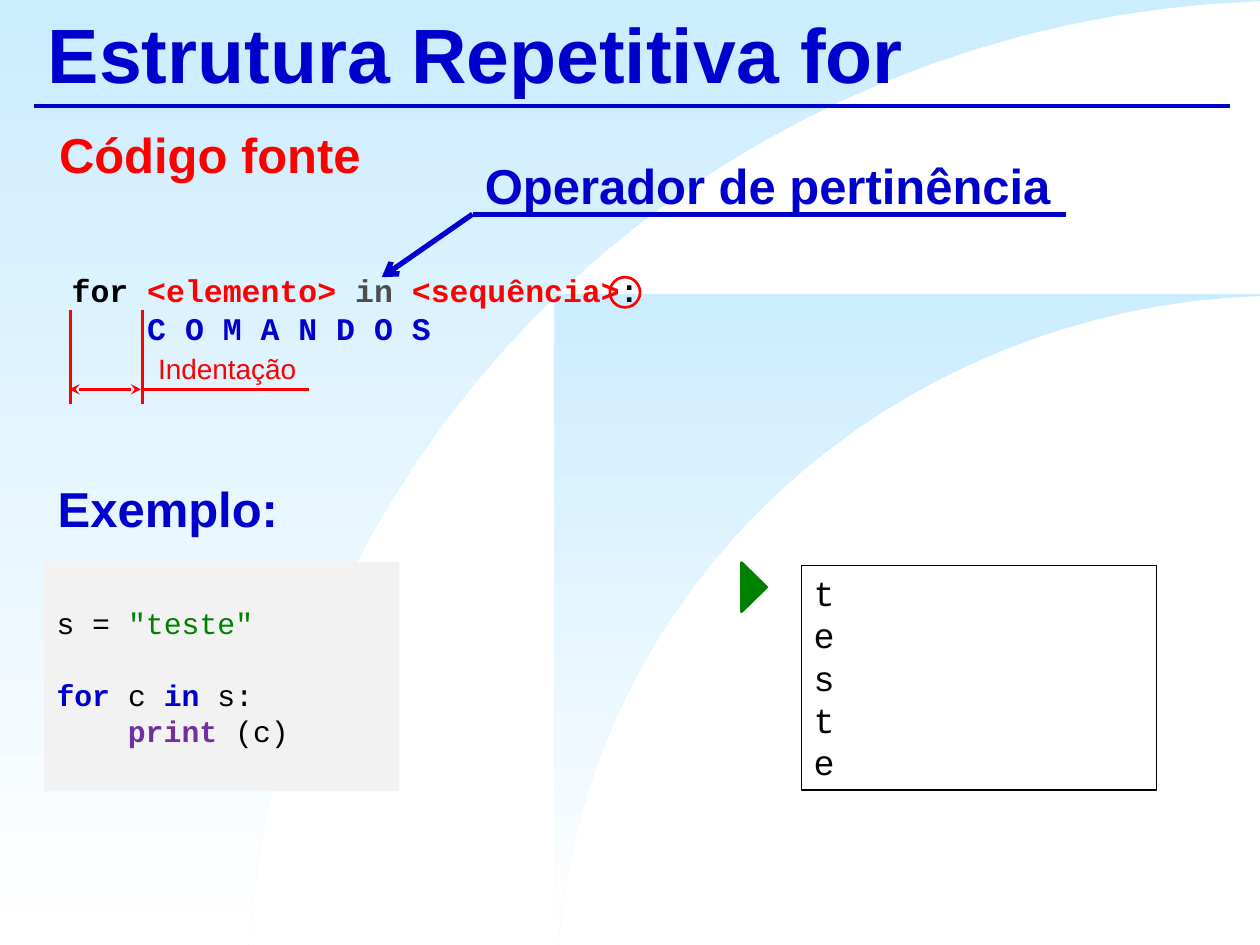
"""Builds the slide on the for loop: syntax, indentation and a worked example."""
import math

from lxml import etree
from pptx import Presentation
from pptx.dml.color import RGBColor
from pptx.enum.shapes import MSO_CONNECTOR, MSO_SHAPE
from pptx.enum.text import MSO_ANCHOR, PP_ALIGN
from pptx.oxml.ns import qn
from pptx.util import Inches, Pt

STRAIGHT = MSO_CONNECTOR.STRAIGHT
RECTANGLE, OVAL, TRIANGLE = MSO_SHAPE.RECTANGLE, MSO_SHAPE.OVAL, MSO_SHAPE.ISOSCELES_TRIANGLE
TOP, MIDDLE = MSO_ANCHOR.TOP, MSO_ANCHOR.MIDDLE
LEFT, RIGHT = PP_ALIGN.LEFT, PP_ALIGN.RIGHT

COLORS = {
    "blue": "0000CC", "red": "FF0000", "green": "008000", "purple": "7030A0",
    "gray": "4D4D4D", "black": "000000", "white": "FFFFFF",
    "code": "F2F2F2", "sky": "CCECFF",
}
SANS, MONO = "Arial", "Courier New"
WIDTH, HEIGHT = 10, 7.5

TITLE = "Estrutura Repetitiva for"
HEADINGS = [
    ("Código fonte", "red", (0.37, 0.99, 3.68, 0.47)),
    ("Exemplo:", "blue", (0.36, 3.8, 3.68, 0.47)),
    ("Operador de pertinência", "blue", (3.75, 1.23, 4.71, 0.47)),
]
SYNTAX = [
    (0, 0, [("for ", "black", True), ("<elemento> ", "red", True), ("in", "gray", True),
            (" <sequência>", "red", True), (":", "black", True)]),
    (4, 0, [("C O M A N D O S", "blue", True)]),
]
EXAMPLE = [
    (0, 0, [("s = ", "black", False), ('"teste"', "green", False)]),
    (0, 1, [("for ", "blue", True), ("c ", "black", False), ("in", "blue", True),
            (" s:", "black", False)]),
    (4, 0, [("print ", "purple", True), ("(c)", "black", False)]),
]
OUTPUT = [(0, 0, [(letter, "black", False)]) for letter in "teste"]

SWEEPS = [((0, 0), (1.97, 0.01)), ((4.4, 2.33), (4.43, 2.35))]
SWEEP_STEPS, SWEEP_START, SWEEP_END = 32, math.radians(4), math.radians(88)

LINES = [
    ((0.27, 0.84), (9.76, 0.84), "blue", 2.25, {}),
    ((0.56, 2.46), (0.56, 3.21), "red", 1.5, {}),
    ((1.13, 2.46), (1.13, 3.21), "red", 1.5, {}),
    ((0.55, 3.09), (1.12, 3.09), "red", 1.5, {"headEnd": "stealth", "tailEnd": "stealth"}),
    ((1.13, 3.09), (2.45, 3.09), "red", 1.5, {}),
    ((3.75, 1.7), (3.03, 2.2), "blue", 3, {"tailEnd": "arrow"}),
    ((3.75, 1.7), (8.46, 1.7), "blue", 3, {}),
]


def rgb(name):
    return RGBColor.from_string(COLORS[name])


def style_font(font, face, size, color=None, bold=None):
    font.name, font.size, font.bold = face, Pt(size), bold
    if color:
        font.color.rgb = rgb(color)


def add_sweep(slide, corner, arc_start):
    (left, top), (arc_left, arc_top) = corner, arc_start
    x_scale = (WIDTH - arc_left) / (math.cos(SWEEP_START) - math.cos(SWEEP_END))
    y_scale = (HEIGHT - arc_top) / (math.sin(SWEEP_END) - math.sin(SWEEP_START))
    arc = []
    for step in range(SWEEP_STEPS + 1):
        angle = SWEEP_START + (SWEEP_END - SWEEP_START) * step / SWEEP_STEPS
        arc.append((arc_left + x_scale * (math.cos(SWEEP_START) - math.cos(angle)),
                    HEIGHT - y_scale * (math.sin(angle) - math.sin(SWEEP_START))))
    outline = arc + [(WIDTH, top), (left, top), (left, HEIGHT)]
    points = [(Inches(x), Inches(y)) for x, y in outline]
    builder = slide.shapes.build_freeform(*points[0], scale=1.0)
    builder.add_line_segments(points[1:], close=True)
    sweep = builder.convert_to_shape()
    sweep.shadow.inherit = False
    sweep.line.fill.background()
    sweep.fill.gradient()
    sweep.fill.gradient_angle = 270
    for stop, color, position in zip(sweep.fill.gradient_stops, ("sky", "white"), (0, 1)):
        stop.color.rgb = rgb(color)
        stop.position = position


def add_line(slide, start, end, color, width, arrowheads):
    line = slide.shapes.add_connector(STRAIGHT, *map(Inches, start + end))
    line.line.color.rgb = rgb(color)
    line.line.width = Pt(width)
    outline = line.line._get_or_add_ln()
    for end_name, style in arrowheads.items():
        etree.SubElement(outline, qn("a:" + end_name), type=style)
    etree.SubElement(line._element.spPr, qn("a:effectLst"))


def add_figure(slide, preset, box, fill=None, outline=None, width=1.5):
    figure = slide.shapes.add_shape(preset, *map(Inches, box))
    figure.shadow.inherit = False
    if fill:
        figure.fill.solid()
        figure.fill.fore_color.rgb = rgb(fill)
    else:
        figure.fill.background()
    if outline:
        figure.line.color.rgb = rgb(outline)
        figure.line.width = Pt(width)
    else:
        figure.line.fill.background()
    return figure


def write_label(holder, text, size, color, bold, anchor=MIDDLE, align=LEFT):
    frame = holder.text_frame
    frame.word_wrap, frame.vertical_anchor = True, anchor
    paragraph = frame.paragraphs[0]
    paragraph.text, paragraph.alignment = text, align
    style_font(paragraph.font, SANS, size, color, bold)


def write_code(holder, lines, size, anchor=TOP):
    frame = holder.text_frame
    frame.word_wrap, frame.vertical_anchor = True, anchor
    for index, (indent, lines_before, pieces) in enumerate(lines):
        paragraph = frame.add_paragraph() if index else frame.paragraphs[0]
        paragraph.alignment = LEFT
        paragraph.space_before = Pt(lines_before * size * 1.2)
        paragraph._p.get_or_add_pPr().set("marL", str(Pt(indent * size * 0.6)))
        style_font(paragraph.font, MONO, size)
        for text, color, bold in pieces:
            run = paragraph.add_run()
            run.text = text
            run.font.color.rgb = rgb(color)
            run.font.bold = bold


def add_textbox(slide, box):
    return slide.shapes.add_textbox(*map(Inches, box))


def main():
    prs = Presentation()
    prs.slide_width, prs.slide_height = Inches(WIDTH), Inches(HEIGHT)
    slide = prs.slides.add_slide(prs.slide_layouts[5])

    for corner, arc_start in SWEEPS:
        add_sweep(slide, corner, arc_start)

    title = slide.shapes.title
    title.left, title.top, title.width, title.height = map(Inches, (0.28, 0, 9.5, 0.83))
    write_label(title, TITLE, 44, "blue", True)
    title.element.getparent().append(title.element)

    for text, color, box in HEADINGS:
        write_label(add_textbox(slide, box), text, 28, color, True)
    write_code(add_textbox(slide, (0.47, 2.1, 5.39, 1.01)), SYNTAX, 18)
    write_label(add_textbox(slide, (1.12, 2.74, 1.33, 0.37)), "Indentação", 16, "red", False,
                TOP, RIGHT)

    add_figure(slide, OVAL, (4.84, 2.2, 0.24, 0.24), outline="red")
    example = add_figure(slide, RECTANGLE, (0.35, 4.46, 2.82, 1.82), "code")
    write_code(example, EXAMPLE, 17, MIDDLE)
    output = add_figure(slide, RECTANGLE, (6.36, 4.49, 2.82, 1.78), "white", "black", 0.75)
    write_code(output, OUTPUT, 20)
    play = add_figure(slide, TRIANGLE, (5.79, 4.56, 0.39, 0.2), "green", "green")
    play.rotation = 90

    for line in LINES:
        add_line(slide, *line)

    prs.save("out.pptx")


if __name__ == "__main__":
    main()
